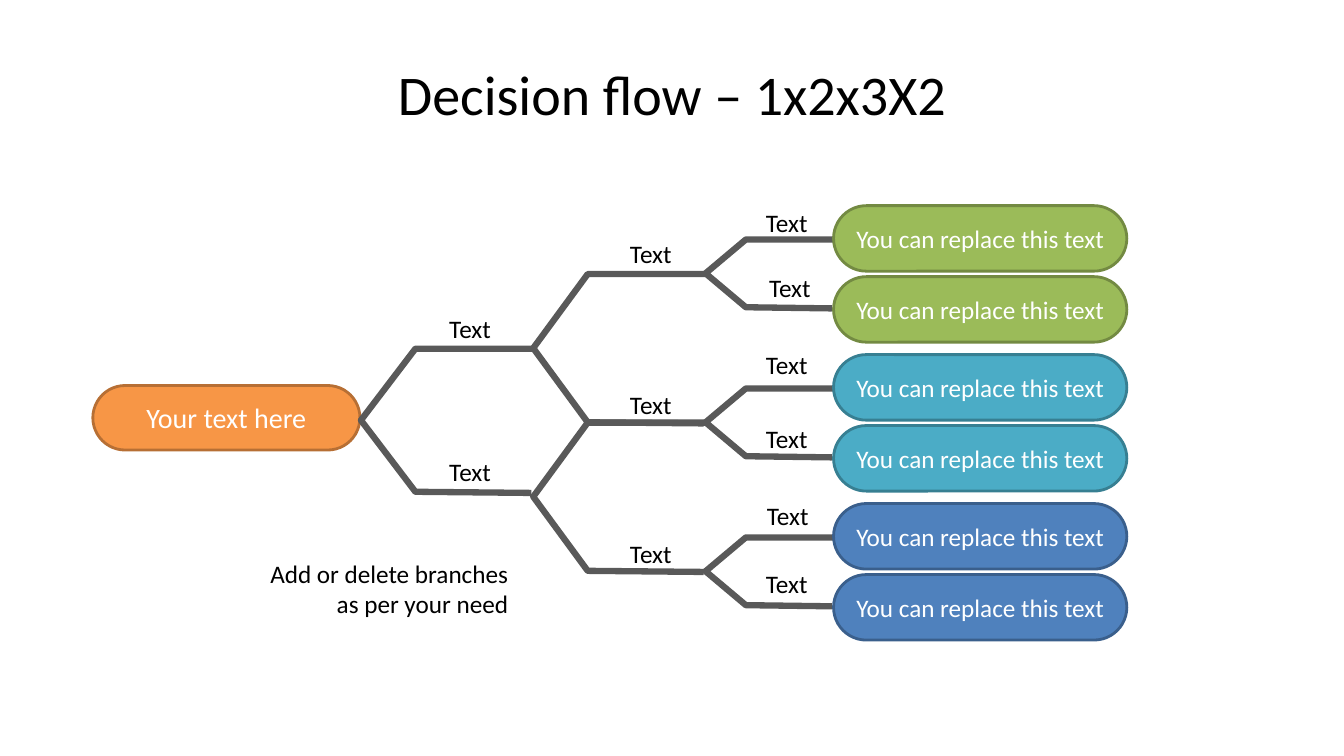
from pptx import Presentation
from pptx.dml.color import RGBColor
from pptx.enum.shapes import MSO_SHAPE
from pptx.enum.text import MSO_ANCHOR, MSO_AUTO_SIZE, PP_ALIGN
from pptx.util import Pt

LEFT, CENTER, RIGHT = PP_ALIGN.LEFT, PP_ALIGN.CENTER, PP_ALIGN.RIGHT
TOP, MIDDLE = MSO_ANCHOR.TOP, MSO_ANCHOR.MIDDLE
GROW, FIXED = MSO_AUTO_SIZE.SHAPE_TO_FIT_TEXT, MSO_AUTO_SIZE.NONE
ROUNDED = MSO_SHAPE.ROUNDED_RECTANGLE

FONT = "Calibri"
BLACK, WHITE, GREY = "000000", "FFFFFF", "595959"
ROOT_COLORS = ("F79646", "B76F34")

FORK_W = 123    # width of a large fork
LEAF_PITCH = 106.4    # distance between pairs of outcomes
# Large forks: left, top, height, then label positions inside the fork
FORKS = [
    (257.8, 249.1, 102.2, [(56, -28.8), (56, 73.4)]),
    (380.9, 195.8, 105.9, [(62, -28.8)]),
    (380.9, 301.9, 105.9, [(62, -27.6), (62, 79)]),
]
# Outcome pairs: fill, outline, then label positions inside the pair
PAIRS = [
    ("9BBB59", "738A42", [(36, -2.2), (38.2, 43.9)]),
    ("4BACC6", "377F92", [(36, -7), (36, 45.5)]),
    ("4F81BD", "3A5F8C", [(36.7, -5.6), (36, 42.6)]),
]


def rgb(color):
    return RGBColor.from_string(color)


def write(s, text, size=18, color=BLACK, align=LEFT, anchor=TOP,
          wrap=True, auto_size=FIXED):
    tf = s.text_frame
    tf.word_wrap = wrap
    tf.auto_size = auto_size
    tf.vertical_anchor = anchor
    p = tf.paragraphs[0]
    p.alignment = align
    r = p.add_run()
    r.text = text
    r.font.name = FONT
    r.font.size = Pt(size)
    r.font.color.rgb = rgb(color)


def add_label(shapes, x, y):
    s = shapes.add_textbox(Pt(x), Pt(y), Pt(44.6), Pt(29))
    write(s, "Text", wrap=False, auto_size=GROW)


def add_pill(shapes, x, y, w, h, text, fill, line, size=18):
    s = shapes.add_shape(ROUNDED, Pt(x), Pt(y), Pt(w), Pt(h))
    s.adjustments[0] = 0.5
    s.shadow.inherit = False
    s.fill.solid()
    s.fill.fore_color.rgb = rgb(fill)
    s.line.color.rgb = rgb(line)
    s.line.width = Pt(2)
    write(s, text, size, WHITE, CENTER, MIDDLE)


def add_fork(shapes, x, y, w, h, elbow):
    """Draw two arms that meet at the middle of the left edge."""
    points = [(x + elbow, y), (x, y + h / 2), (x + elbow, y + h),
              (x + w - 1.2, y + h + 0.8)]
    builder = shapes.build_freeform(Pt(x + w), Pt(y))
    builder.add_line_segments([(Pt(px), Pt(py)) for px, py in points], close=False)
    s = builder.convert_to_shape()
    s.shadow.inherit = False
    s.fill.background()
    s.line.color.rgb = rgb(GREY)
    s.line.width = Pt(4.5)


def add_branch(slide, x, y, h, labels):
    shapes = slide.shapes.add_group_shape().shapes
    add_fork(shapes, x, y, FORK_W, h, 38.9)
    for dx, dy in labels:
        add_label(shapes, x + dx, y + dy)


def add_outcomes(slide, x, y, fill, line, labels):
    shapes = slide.shapes.add_group_shape().shapes
    add_fork(shapes, x, y + 24.2, 91.4, 48.4, 28.8)
    for row in range(2):
        add_pill(shapes, x + 91.4, y + row * 50.7, 209.5, 46.8,
                 "You can replace this text", fill, line)
    for dx, dy in labels:
        add_label(shapes, x + dx, y + dy)


def add_title(slide, x, y, w, h, text):
    s = slide.shapes.title
    s.left, s.top, s.width, s.height = Pt(x), Pt(y), Pt(w), Pt(h)
    write(s, text, 40, align=CENTER, anchor=MIDDLE)


def decision_slide(prs):
    slide = prs.slides.add_slide(prs.slide_layouts[5])
    add_title(slide, 48, 21.6, 864, 90, "Decision flow – 1x2x3X2")

    # Starting point
    add_pill(slide.shapes, 66.3, 275.4, 190.8, 46.1, "Your text here",
             *ROOT_COLORS, size=20)

    # Branches
    for fork in FORKS:
        add_branch(slide, *fork)

    # Outcomes
    for i, pair in enumerate(PAIRS):
        add_outcomes(slide, 504, 146.9 + i * LEAF_PITCH, *pair)

    # Hint
    s = slide.shapes.add_textbox(Pt(179.3), Pt(395.3), Pt(190.8), Pt(51))
    write(s, "Add or delete branches as per your need", align=RIGHT, auto_size=GROW)


def main():
    prs = Presentation()
    prs.slide_width, prs.slide_height = Pt(960), Pt(540)
    decision_slide(prs)
    prs.save("out.pptx")


if __name__ == "__main__":
    main()
